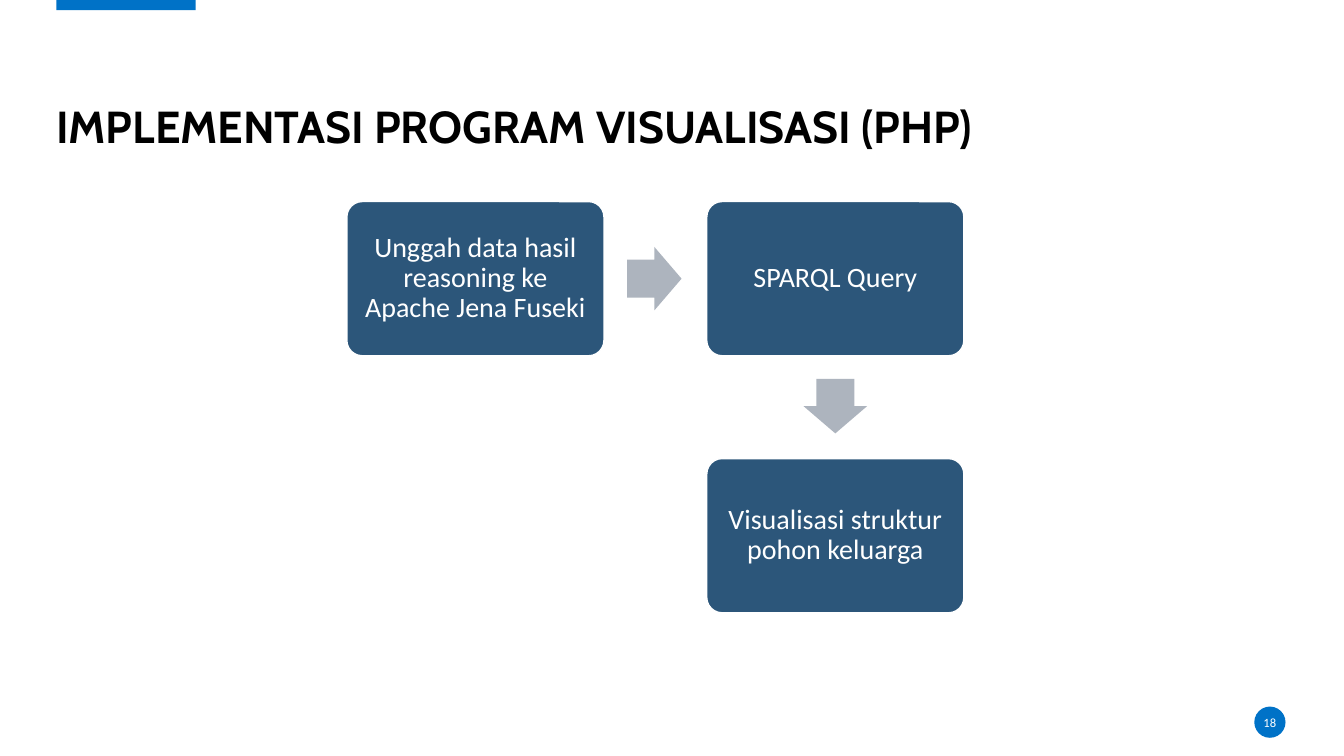
from pptx import Presentation
from pptx.dml.color import RGBColor
from pptx.enum.shapes import MSO_SHAPE
from pptx.enum.text import MSO_ANCHOR, PP_ALIGN
from pptx.util import Inches, Pt

RECT = MSO_SHAPE.RECTANGLE
OVAL = MSO_SHAPE.OVAL
ROUND = MSO_SHAPE.ROUNDED_RECTANGLE
RIGHT = MSO_SHAPE.RIGHT_ARROW
DOWN = MSO_SHAPE.DOWN_ARROW
MIDDLE = MSO_ANCHOR.MIDDLE
LEFT, CENTER = PP_ALIGN.LEFT, PP_ALIGN.CENTER

BLUE = RGBColor(0x00, 0x72, 0xC7)
NAVY = RGBColor(0x2C, 0x56, 0x7A)
GRAY = RGBColor(0xAD, 0xB4, 0xBE)
WHITE = RGBColor(0xFF, 0xFF, 0xFF)
BLACK = RGBColor(0x00, 0x00, 0x00)

GRID_X, GRID_Y = 3.44, 2.0
BOX_W, BOX_H = 2.55, 1.53
STEP_X, STEP_Y = 3.57, 2.55
ARROW_LEN, ARROW_SPAN = 0.54, 0.63
ARROW_GAP = 0.23

STEPS = [
    ("Unggah data hasil reasoning ke Apache Jena Fuseki", 0, 0),
    ("SPARQL Query", 1, 0),
    ("Visualisasi struktur pohon keluarga", 1, 1),
]


def put_text(shape, text, size=20, font="Calibri", color=WHITE, bold=False,
             align=CENTER, inset=0.0, spacing=0.9):
    frame = shape.text_frame
    frame.word_wrap = True
    frame.vertical_anchor = MIDDLE
    frame.margin_left = frame.margin_right = Inches(inset)
    frame.margin_top = frame.margin_bottom = Inches(inset)
    para = frame.paragraphs[0]
    para.alignment = align
    para.line_spacing = spacing
    run = para.add_run()
    run.text = text
    run.font.size = Pt(size)
    run.font.name = font
    run.font.bold = bold
    run.font.color.rgb = color


def add_form(slide, kind, left, top, width, height, fill, line=None, adjust=()):
    shape = slide.shapes.add_shape(
        kind, Inches(left), Inches(top), Inches(width), Inches(height))
    shape.shadow.inherit = False
    shape.fill.solid()
    shape.fill.fore_color.rgb = fill
    if line is None:
        shape.line.fill.background()
    else:
        shape.line.color.rgb = line
        shape.line.width = Pt(1)
    for index, value in enumerate(adjust):
        shape.adjustments[index] = value
    return shape


def cell(col, row):
    return GRID_X + col * STEP_X, GRID_Y + row * STEP_Y


def add_step(slide, text, col, row):
    left, top = cell(col, row)
    box = add_form(slide, ROUND, left, top, BOX_W, BOX_H, NAVY, WHITE, [0.1])
    put_text(box, text, inset=0.12)


def add_arrow(slide, kind, col, row):
    left, top = cell(col, row)
    if kind == RIGHT:
        width, height = ARROW_LEN, ARROW_SPAN
        left += BOX_W + ARROW_GAP
        top += (BOX_H - height) / 2
    else:
        width, height = ARROW_SPAN, ARROW_LEN
        left += (BOX_W - width) / 2
        top += BOX_H + ARROW_GAP
    add_form(slide, kind, left, top, width, height, GRAY, adjust=[0.6, 0.5])


def add_title(slide, text):
    title = slide.shapes.title
    title.left, title.top = Inches(0.56), Inches(0.55)
    title.width, title.height = Inches(11), Inches(1.45)
    put_text(title, text, size=32, font="Cabin", color=BLACK, bold=True,
             align=LEFT)


def main():
    deck = Presentation()
    deck.slide_width, deck.slide_height = Inches(13.33), Inches(7.5)
    slide = deck.slides.add_slide(deck.slide_layouts[5])
    add_form(slide, RECT, 0.56, -0.02, 1.38, 0.12, BLUE)
    add_title(slide, "IMPLEMENTASI PROGRAM VISUALISASI (PHP)")
    for text, col, row in STEPS:
        add_step(slide, text, col, row)
    add_arrow(slide, RIGHT, 0, 0)
    add_arrow(slide, DOWN, 1, 0)
    badge = add_form(slide, OVAL, 12.44, 7.01, 0.31, 0.31, BLUE)
    put_text(badge, "18", size=9, spacing=1.0)
    deck.save("out.pptx")


if __name__ == "__main__":
    main()
